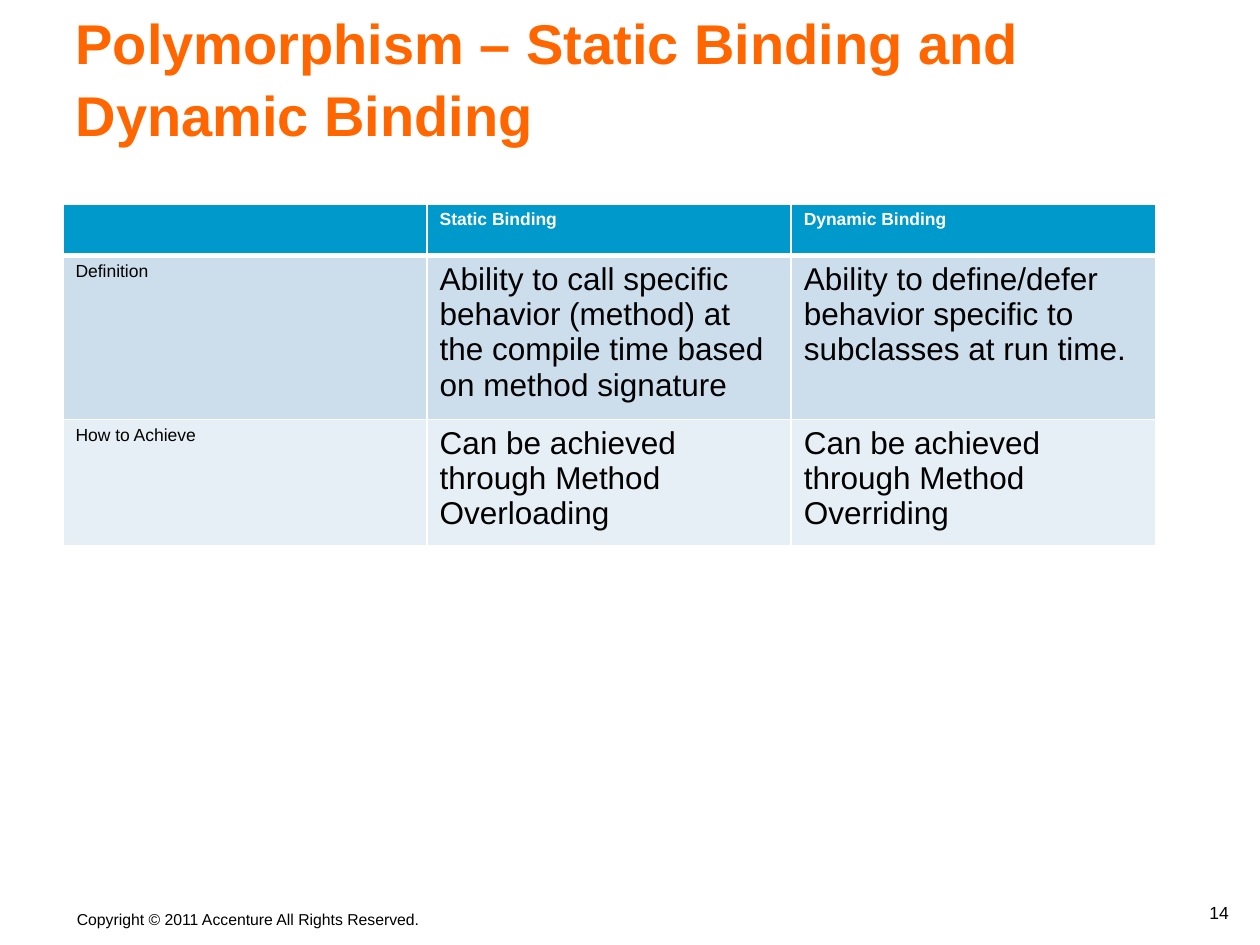
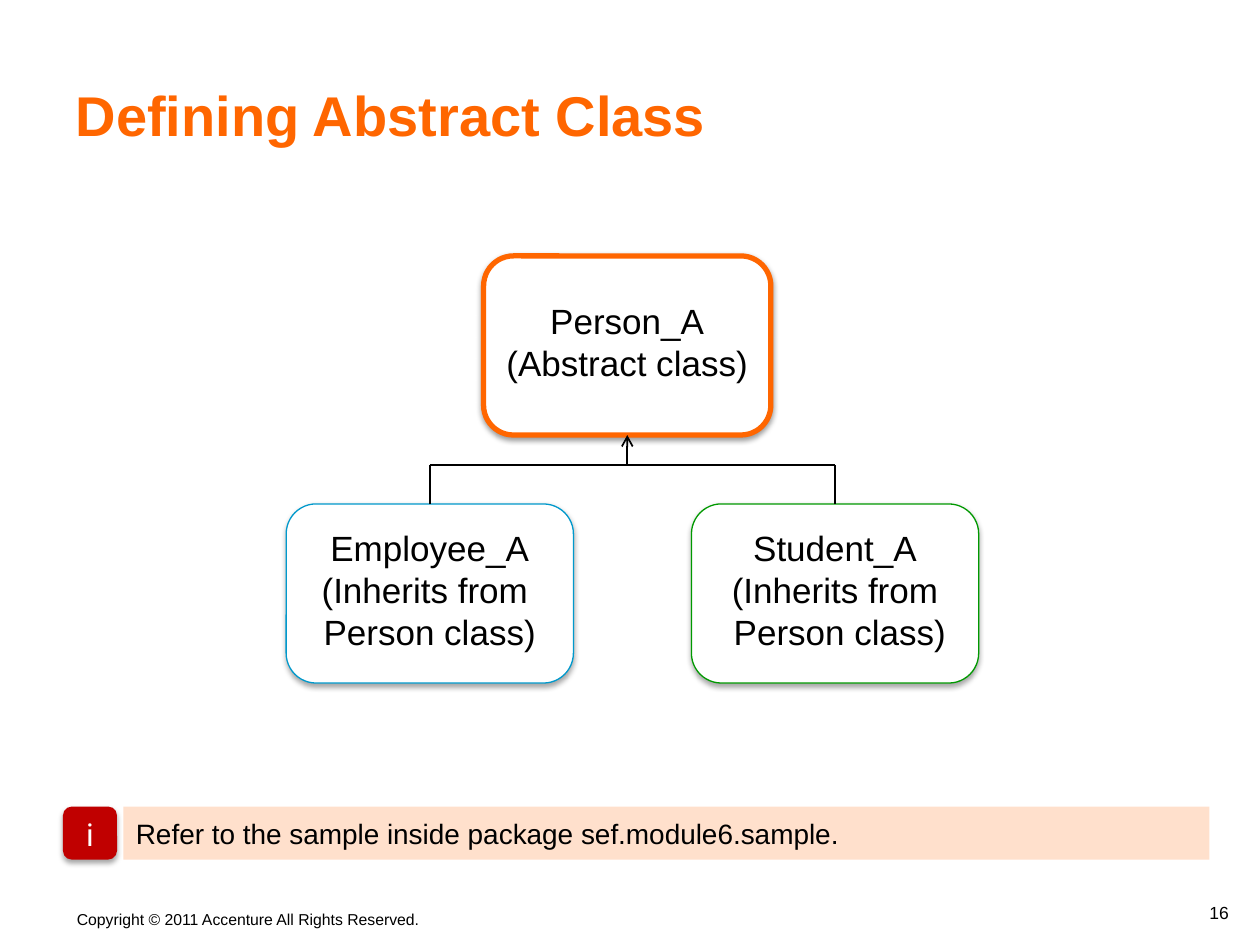
"""Builds two slides on polymorphism: binding types and an abstract class hierarchy."""
from dataclasses import dataclass
from typing import Optional

from lxml import etree
from pptx import Presentation
from pptx import util as u
from pptx.dml.color import RGBColor
from pptx.enum import shapes, text
from pptx.oxml import ns


@dataclass(frozen=True)
class Theme:
    font: str = "Arial"
    badge_font: str = "Roboto"
    accent: str = "FF6600"
    blue: str = "0099CC"
    green: str = "009900"
    red: str = "C00000"
    peach: str = "FFE0CC"
    black: str = "000000"
    white: str = "FFFFFF"
    bands: tuple[str, str] = ("CCDEEC", "E7EFF6")
    title_size: float = 32
    class_size: float = 20
    body_size: float = 18
    note_size: float = 16
    label_size: float = 10
    footer_size: float = 9


@dataclass(frozen=True)
class Area:
    left: float
    top: float
    width: float
    height: float

    def lengths(self) -> tuple[u.Cm, ...]:
        return tuple(u.Cm(n) for n in (self.left, self.top, self.width, self.height))


@dataclass(frozen=True)
class Style:
    size: float
    color: str = "000000"
    bold: bool = False
    font: str = "Arial"
    align: text.PP_ALIGN = text.PP_ALIGN.LEFT
    line_spacing: float = 1.0
    space_before: float = 0


@dataclass(frozen=True)
class Panel:
    area: Area
    lines: tuple[str, ...]
    style: Style
    fill: str
    kind: shapes.MSO_SHAPE = shapes.MSO_SHAPE.ROUNDED_RECTANGLE
    outline: Optional[str] = None
    outline_width: float = 0.75
    shadow_opacity: int = 35
    shadow_distance: float = 1.8
    has_shadow: bool = True
    anchor: text.MSO_ANCHOR = text.MSO_ANCHOR.MIDDLE
    wrap: bool = False


THEME = Theme()
TITLE_AREA = Area(1.27, 0.56, 22.66, 2.54)
FOOTER_AREA = Area(1.3, 18.21, 7.54, 0.64)
NUMBER_AREA = Area(20.32, 17.98, 4.7, 0.76)
COPYRIGHT = "Copyright © 2011 Accenture All Rights Reserved."

TITLE = Style(THEME.title_size, THEME.accent, bold=True, line_spacing=1.07)
FOOTER = Style(THEME.footer_size)
NUMBER = Style(THEME.label_size, align=text.PP_ALIGN.RIGHT)
HEADING = Style(THEME.label_size, THEME.white, bold=True)
ROW_LABEL = Style(THEME.label_size)
BODY = Style(THEME.body_size)
NOTE = Style(THEME.note_size)
CLASS_NAME = Style(THEME.class_size, align=text.PP_ALIGN.CENTER,
                   line_spacing=0.8, space_before=5)
BADGE = Style(THEME.body_size, THEME.white, font=THEME.badge_font,
              align=text.PP_ALIGN.CENTER)

BINDINGS = (
    ("", "Static Binding", "Dynamic Binding"),
    ("Definition",
     "Ability to call specific behavior (method) at the compile time based on method signature",
     "Ability to define/defer behavior specific to subclasses at run time."),
    ("How to Achieve",
     "Can be achieved through Method Overloading",
     "Can be achieved through Method Overriding"),
)
BINDING_ROW_HEIGHTS = (1.04, 3.1, 2.38)
BINDING_COLUMN_WIDTH = 7.34

CLASS_WIDTH, CLASS_HEIGHT = 5.79, 3.61
PERSON = Panel(Area(9.75, 5.16, CLASS_WIDTH, CLASS_HEIGHT),
               ("Person_A", "(Abstract class)"), CLASS_NAME, THEME.white,
               outline=THEME.accent, outline_width=3,
               shadow_opacity=38, shadow_distance=1.6)
SUBCLASSES = (
    Panel(Area(5.77, 10.16, CLASS_WIDTH, CLASS_HEIGHT),
          ("Employee_A", "(Inherits from ", "Person class)"),
          CLASS_NAME, THEME.white, outline=THEME.blue),
    Panel(Area(13.94, 10.16, CLASS_WIDTH, CLASS_HEIGHT),
          ("Student_A", "(Inherits from", " Person class)"),
          CLASS_NAME, THEME.white, outline=THEME.green),
)
JUNCTION_TOP = 9.37
REFERENCE = (
    Panel(Area(2.49, 16.26, 21.89, 1.07),
          ("Refer to the sample inside package sef.module6.sample.",),
          NOTE, THEME.peach, kind=shapes.MSO_SHAPE.RECTANGLE,
          has_shadow=False, wrap=True),
    Panel(Area(1.27, 16.26, 1.09, 1.07), ("i",), BADGE, THEME.red,
          anchor=text.MSO_ANCHOR.TOP, wrap=True),
)


def rgb(color: str) -> RGBColor:
    return RGBColor.from_string(color)


def write(frame, lines: tuple[str, ...], style: Style) -> None:
    for index, line in enumerate(lines):
        paragraph = frame.add_paragraph() if index else frame.paragraphs[0]
        paragraph.alignment = style.align
        paragraph.line_spacing = style.line_spacing
        paragraph.space_before = u.Pt(style.space_before if index else 0)
        run = paragraph.add_run()
        run.text = line
        run.font.name = style.font
        run.font.size = u.Pt(style.size)
        run.font.bold = style.bold
        run.font.color.rgb = rgb(style.color)


def add_label(slide, area: Area, line: str, style: Style, wrap: bool = True,
              anchor: text.MSO_ANCHOR = text.MSO_ANCHOR.TOP) -> None:
    frame = slide.shapes.add_textbox(*area.lengths()).text_frame
    frame.word_wrap = wrap
    frame.vertical_anchor = anchor
    write(frame, (line,), style)


def add_page(deck, title: str, number: int):
    slide = deck.slides.add_slide(deck.slide_layouts[5])
    heading = slide.shapes.title
    heading.left, heading.top, heading.width, heading.height = TITLE_AREA.lengths()
    frame = heading.text_frame
    frame.word_wrap = True
    frame.auto_size = text.MSO_AUTO_SIZE.NONE
    frame.vertical_anchor = text.MSO_ANCHOR.BOTTOM
    write(frame, (title,), TITLE)
    add_label(slide, FOOTER_AREA, COPYRIGHT, FOOTER, wrap=False)
    add_label(slide, NUMBER_AREA, str(number), NUMBER,
              anchor=text.MSO_ANCHOR.BOTTOM)
    return slide


def add_shadow(shape, opacity: int, distance: float) -> None:
    effects = shape._element.spPr.find(ns.qn("a:effectLst"))
    shadow = etree.SubElement(effects, ns.qn("a:outerShdw"), blurRad=str(u.Pt(3.1)),
                              dist=str(u.Pt(distance)), dir="5400000", rotWithShape="0")
    color = etree.SubElement(shadow, ns.qn("a:srgbClr"), val=THEME.black)
    etree.SubElement(color, ns.qn("a:alpha"), val=str(opacity * 1000))


def add_panel(slide, panel: Panel):
    shape = slide.shapes.add_shape(panel.kind, *panel.area.lengths())
    shape.fill.solid()
    shape.fill.fore_color.rgb = rgb(panel.fill)
    if panel.outline:
        shape.line.color.rgb = rgb(panel.outline)
        shape.line.width = u.Pt(panel.outline_width)
    else:
        shape.line.fill.background()
    shape.shadow.inherit = False
    if panel.has_shadow:
        add_shadow(shape, panel.shadow_opacity, panel.shadow_distance)
    shape.text_frame.word_wrap = panel.wrap
    shape.text_frame.vertical_anchor = panel.anchor
    write(shape.text_frame, panel.lines, panel.style)
    return shape


def add_link(slide, start: tuple[int, int], end: tuple[int, int], arrow: bool = False):
    link = slide.shapes.add_connector(shapes.MSO_CONNECTOR.STRAIGHT, *start, *end)
    link.line.color.rgb = rgb(THEME.black)
    link.line.width = u.Pt(1)
    properties = link._element.spPr
    if arrow:
        etree.SubElement(properties.find(ns.qn("a:ln")), ns.qn("a:tailEnd"), type="arrow")
    etree.SubElement(properties, ns.qn("a:effectLst"))
    return link


def add_borders(cell, bottom_width: float) -> None:
    properties = cell._tc.get_or_add_tcPr()
    for side, width in (("L", 1), ("R", 1), ("T", 1), ("B", bottom_width)):
        border = etree.SubElement(properties, ns.qn(f"a:ln{side}"), w=str(u.Pt(width)))
        fill = etree.SubElement(border, ns.qn("a:solidFill"))
        etree.SubElement(fill, ns.qn("a:srgbClr"), val=THEME.white)


def add_bindings(slide) -> None:
    area = Area(1.27, 4.11, BINDING_COLUMN_WIDTH * 3, sum(BINDING_ROW_HEIGHTS))
    table = slide.shapes.add_table(len(BINDINGS), 3, *area.lengths()).table
    fills = (THEME.blue, *THEME.bands)
    for column in table.columns:
        column.width = u.Cm(BINDING_COLUMN_WIDTH)
    for row, (entries, height) in enumerate(zip(BINDINGS, BINDING_ROW_HEIGHTS)):
        table.rows[row].height = u.Cm(height)
        for column, entry in enumerate(entries):
            cell = table.cell(row, column)
            add_borders(cell, 1 if row else 3)
            cell.fill.solid()
            cell.fill.fore_color.rgb = rgb(fills[row])
            if entry:
                style = HEADING if row == 0 else BODY if column else ROW_LABEL
                write(cell.text_frame, (entry,), style)


def add_hierarchy(slide) -> None:
    person = add_panel(slide, PERSON)
    subclasses = [add_panel(slide, panel) for panel in SUBCLASSES]
    junction_top = u.Cm(JUNCTION_TOP)
    centers = [subclass.left + subclass.width // 2 for subclass in subclasses]
    add_link(slide, (centers[0], junction_top), (centers[1], junction_top))
    for subclass, center in zip(subclasses, centers):
        branch = add_link(slide, (center, subclass.top), (center, junction_top))
        branch.begin_connect(subclass, 0)
    person_center = person.left + person.width // 2
    trunk = add_link(slide, (person_center, junction_top),
                     (person_center, person.top + person.height), arrow=True)
    trunk.end_connect(person, 2)


def main() -> None:
    deck = Presentation()
    deck.slide_width, deck.slide_height = u.Cm(25.4), u.Cm(19.05)
    add_bindings(add_page(deck, "Polymorphism – Static Binding and Dynamic Binding", 14))
    abstract_class = add_page(deck, "Defining Abstract Class", 16)
    add_hierarchy(abstract_class)
    for panel in REFERENCE:
        add_panel(abstract_class, panel)
    deck.save("out.pptx")


if __name__ == "__main__":
    main()
